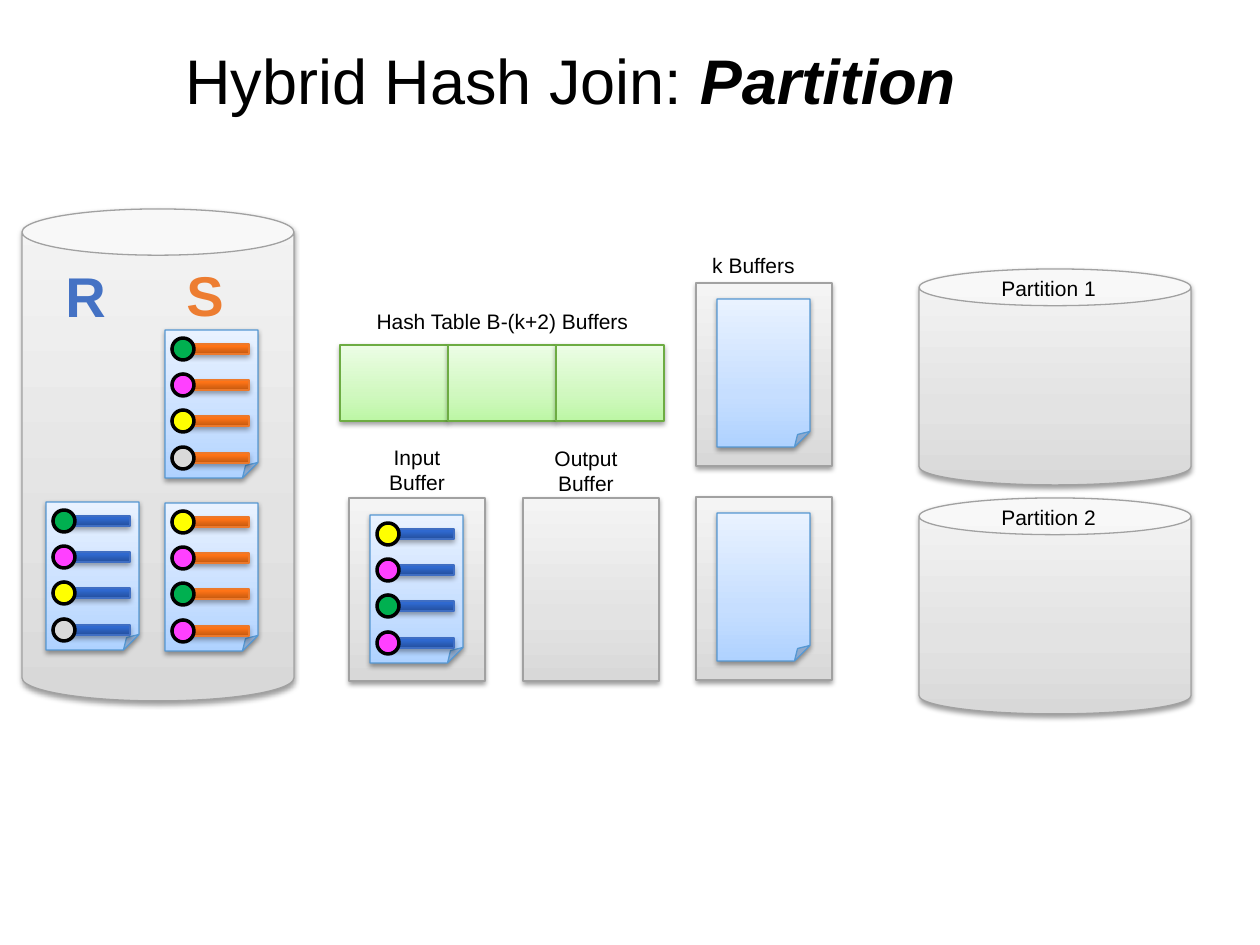
from copy import deepcopy
from dataclasses import dataclass

from lxml.etree import SubElement
from pptx import Presentation
from pptx.dml.color import RGBColor
from pptx.enum.shapes import MSO_SHAPE as Preset
from pptx.enum.text import MSO_ANCHOR as Anchor, MSO_AUTO_SIZE as AutoSize, PP_ALIGN as Align
from pptx.oxml.ns import qn
from pptx.shapes.autoshape import Shape
from pptx.text.text import TextFrame
from pptx.util import Emu, Pt

FONT = "Arial"
EMU_PER_PIXEL = 914400 / 126

BLACK = RGBColor(0x00, 0x00, 0x00)
R_BLUE = RGBColor(0x44, 0x72, 0xC4)
S_ORANGE = RGBColor(0xED, 0x7D, 0x31)
GREEN = RGBColor(0x00, 0xB0, 0x50)
PINK = RGBColor(0xFF, 0x40, 0xFF)
YELLOW = RGBColor(0xFF, 0xFF, 0x00)
SILVER = RGBColor(0xD9, 0xD9, 0xD9)


@dataclass(frozen=True)
class Style:
    """Gradient from bottom to top, with its line colour and shadow."""
    bottom: RGBColor
    middle: RGBColor
    top: RGBColor
    line: RGBColor
    middle_position: float = 0.35
    shadow_distance: float = 1.6
    shadow_percent: int = 38


GRAY_STYLE = Style(RGBColor(0xD8, 0xD8, 0xD8), RGBColor(0xE3, 0xE3, 0xE3),
                   RGBColor(0xF4, 0xF4, 0xF4), RGBColor(0xA1, 0xA1, 0xA1))
GREEN_STYLE = Style(RGBColor(0xBC, 0xF6, 0xA4), RGBColor(0xD0, 0xF8, 0xBF),
                    RGBColor(0xEC, 0xFD, 0xE5), RGBColor(0x6D, 0xAC, 0x43))
PAGE_STYLE = Style(RGBColor(0xAF, 0xD2, 0xFF), RGBColor(0xC6, 0xDE, 0xFF),
                   RGBColor(0xE9, 0xF2, 0xFF), RGBColor(0x56, 0x98, 0xD3))
R_STYLE = Style(RGBColor(0x24, 0x50, 0x9E), RGBColor(0x2F, 0x69, 0xD0),
                RGBColor(0x2C, 0x69, 0xD4), RGBColor(0x3F, 0x6E, 0xC3), 0.8, 1.8, 35)
S_STYLE = Style(RGBColor(0xC3, 0x58, 0x0F), RGBColor(0xFF, 0x74, 0x16),
                RGBColor(0xFF, 0x75, 0x17), RGBColor(0xEC, 0x79, 0x2B), 0.8, 1.8, 35)


@dataclass(frozen=True)
class Box:
    left: int
    top: int
    width: int
    height: int


@dataclass(frozen=True)
class Page:
    left: int
    top: int
    record_style: Style = R_STYLE
    keys: tuple[RGBColor, ...] = ()


@dataclass(frozen=True)
class Label:
    text: str
    box: Box
    size: int = 12
    color: RGBColor = BLACK
    bold: bool = False
    align: Align = Align.LEFT


CYLINDERS = (Box(22, 209, 272, 492), Box(919, 269, 272, 216), Box(919, 498, 272, 216))
BUFFERS = ((349, 498), (523, 498), (696, 283), (696, 497))
PAGES = (
    Page(165, 330, S_STYLE, (GREEN, PINK, YELLOW, SILVER)),
    Page(165, 503, S_STYLE, (YELLOW, PINK, GREEN, PINK)),
    Page(46, 502, R_STYLE, (GREEN, PINK, YELLOW, SILVER)),
    Page(370, 515, R_STYLE, (YELLOW, PINK, GREEN, PINK)),
    Page(717, 299),
    Page(717, 513),
)
LABELS = (
    Label("R", Box(59, 255, 54, 79), 32, R_BLUE, True),
    Label("S", Box(180, 254, 50, 79), 32, S_ORANGE, True),
    Label("Input\nBuffer", Box(382, 438, 70, 60), align=Align.CENTER),
    Label("Output\nBuffer", Box(543, 439, 86, 60), align=Align.CENTER),
    Label("k Buffers", Box(706, 246, 98, 37)),
    Label("Hash Table B-(k+2) Buffers", Box(341, 302, 323, 37), align=Align.CENTER),
    Label("Partition 1", Box(995, 269, 110, 37)),
    Label("Partition 2", Box(995, 498, 110, 37)),
)


def px(pixels: int) -> Emu:
    return Emu(round(pixels * EMU_PER_PIXEL))


def bounds(box: Box) -> tuple[Emu, ...]:
    return px(box.left), px(box.top), px(box.width), px(box.height)


def add_preset(preset: Preset, box: Box, line: RGBColor, line_width: float) -> Shape:
    shape = slide.shapes.add_shape(preset, *bounds(box))
    shape.shadow.inherit = False
    shape.line.color.rgb = line
    shape.line.width = Pt(line_width)
    return shape


def add_styled(preset: Preset, box: Box, style: Style) -> Shape:
    shape = add_preset(preset, box, style.line, 0.75)
    shape.fill.gradient()
    shape.fill.gradient_angle = 90
    # A third stop is copied from the default two
    stop_list = shape._element.spPr.find(".//" + qn("a:gsLst"))
    stop_list.append(deepcopy(stop_list[-1]))
    stops = ((0, style.bottom), (style.middle_position, style.middle), (1, style.top))
    for stop, (position, color) in zip(shape.fill.gradient_stops, stops):
        stop.position = position
        stop.color.rgb = color
    # Soft shadow straight below
    effects = shape._element.spPr.find(qn("a:effectLst"))
    shadow = SubElement(effects, qn("a:outerShdw"), blurRad=str(Pt(3)),
                        dist=str(Pt(style.shadow_distance)), dir="5400000", rotWithShape="0")
    shadow_color = SubElement(shadow, qn("a:srgbClr"), val=str(BLACK))
    SubElement(shadow_color, qn("a:alpha"), val=str(style.shadow_percent * 1000))
    return shape


def add_page(page: Page) -> None:
    add_styled(Preset.FOLDED_CORNER, Box(page.left, page.top, 93, 148), PAGE_STYLE)
    for index, key in enumerate(page.keys):
        top = page.top + index * 109 // 3
        add_styled(Preset.RECTANGLE, Box(page.left + 19, top + 14, 65, 10), page.record_style)
        circle = add_preset(Preset.OVAL, Box(page.left + 7, top + 8, 22, 22), BLACK, 2)
        circle.fill.solid()
        circle.fill.fore_color.rgb = key


def set_margins(text_frame: TextFrame) -> None:
    text_frame.margin_left = text_frame.margin_right = Pt(3.6)
    text_frame.margin_top = text_frame.margin_bottom = Pt(3.6)


def add_label(label: Label) -> None:
    text_frame = slide.shapes.add_textbox(*bounds(label.box)).text_frame
    set_margins(text_frame)
    text_frame.word_wrap = False
    text_frame.auto_size = AutoSize.SHAPE_TO_FIT_TEXT
    text_frame.text = label.text
    for paragraph in text_frame.paragraphs:
        paragraph.alignment = label.align
        font = paragraph.runs[0].font
        font.name, font.size, font.bold = FONT, Pt(label.size), label.bold
        font.color.rgb = label.color


presentation = Presentation()
presentation.slide_width, presentation.slide_height = px(1260), px(945)
slide = presentation.slides.add_slide(presentation.slide_layouts[5])

# Title
title = slide.shapes.title
title.left, title.top, title.width, title.height = bounds(Box(179, 0, 987, 158))
set_margins(title.text_frame)
title.text_frame.vertical_anchor = Anchor.MIDDLE
title_paragraph = title.text_frame.paragraphs[0]
title_paragraph.alignment = Align.LEFT
for text, emphasis in (("Hybrid Hash Join:", False), (" Partition", True)):
    run = title_paragraph.add_run()
    run.text = text
    run.font.name, run.font.size = FONT, Pt(36)
    run.font.bold = run.font.italic = emphasis
    run.font.color.rgb = BLACK

# Disks
for cylinder in CYLINDERS:
    add_styled(Preset.CAN, cylinder, GRAY_STYLE).adjustments[0] = 0.17

# Memory buffers and hash table
for left, top in BUFFERS:
    add_styled(Preset.RECTANGLE, Box(left, top, 136, 183), GRAY_STYLE)
for column in range(3):
    add_styled(Preset.RECTANGLE, Box(340 + column * 108, 345, 108, 76), GREEN_STYLE)

# Pages with their records, then labels
for page in PAGES:
    add_page(page)
for label in LABELS:
    add_label(label)

presentation.save("out.pptx")
